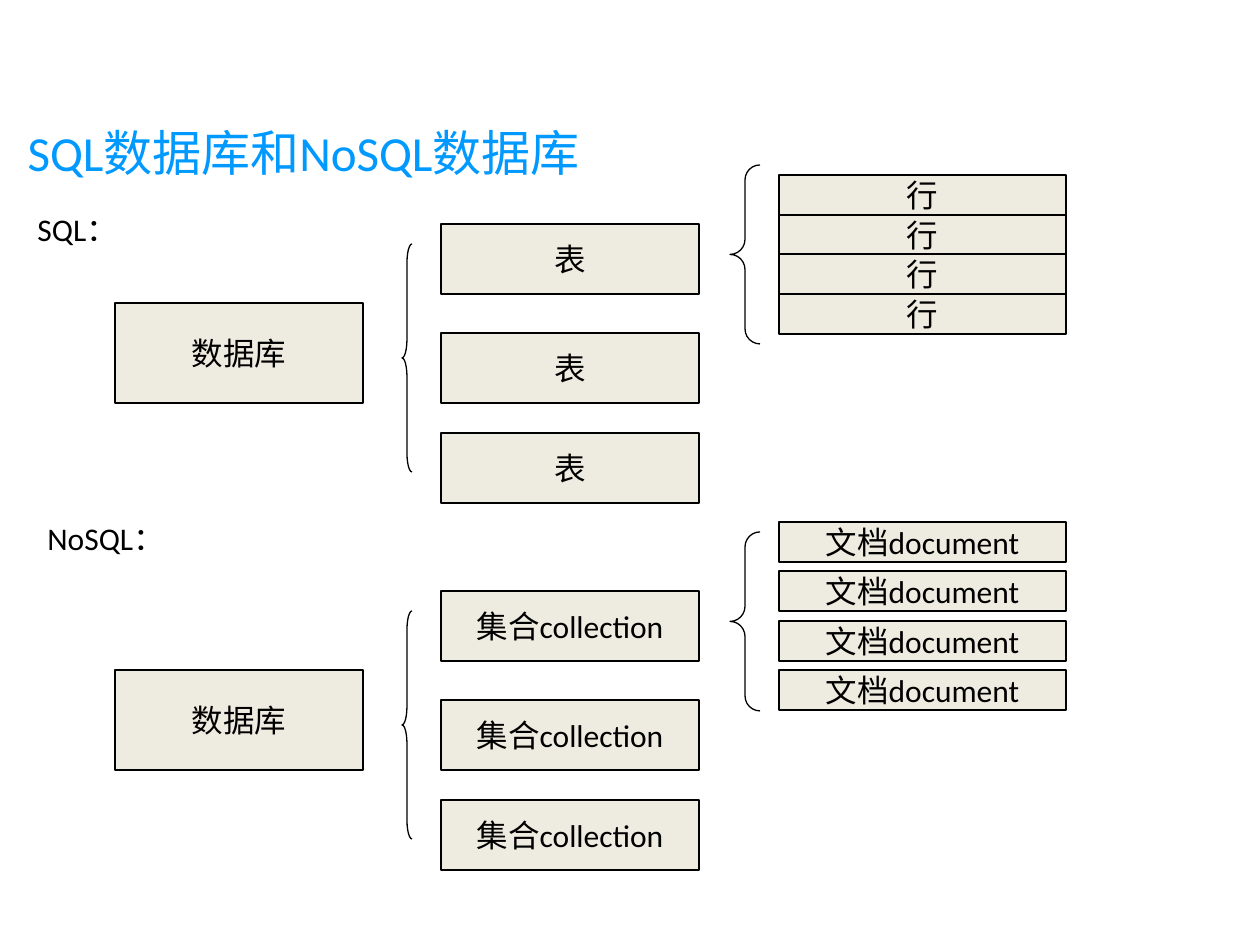
from dataclasses import dataclass

from pptx import Presentation
from pptx.dml.color import RGBColor
from pptx.enum.shapes import MSO_SHAPE
from pptx.enum.text import MSO_ANCHOR, PP_ALIGN
from pptx.util import Emu, Pt


@dataclass(frozen=True)
class Theme:
    font: str = "Calibri"
    title_size: int = 28
    body_size: int = 18
    title_color: RGBColor = RGBColor(0x00, 0x99, 0xFF)
    ink: RGBColor = RGBColor(0x00, 0x00, 0x00)
    box_fill: RGBColor = RGBColor(0xEE, 0xEC, 0xE1)
    line_width: float = 0.75


class SlideBuilder:
    """Draws styled elements on one slide, with lengths in px."""

    EMU_PER_PX = 914400 / 126

    def __init__(self, slide, theme):
        self.slide = slide
        self.theme = theme

    def lengths(self, *pixels):
        return [Emu(round(value * self.EMU_PER_PX)) for value in pixels]

    def set_text(self, shape, text, size, color, align, anchor, wrap):
        frame = shape.text_frame
        frame.text = text
        frame.word_wrap = wrap
        frame.vertical_anchor = anchor
        paragraph = frame.paragraphs[0]
        paragraph.alignment = align
        for run in paragraph.runs:
            run.font.name = self.theme.font
            run.font.size = Pt(size)
            run.font.color.rgb = color

    def title(self, text, *place):
        shape = self.slide.shapes.title
        shape.left, shape.top, shape.width, shape.height = self.lengths(*place)
        self.set_text(shape, text, self.theme.title_size, self.theme.title_color,
                      PP_ALIGN.LEFT, MSO_ANCHOR.TOP, True)

    def label(self, text, *place):
        shape = self.slide.shapes.add_textbox(*self.lengths(*place))
        self.set_text(shape, text, self.theme.body_size, self.theme.ink,
                      PP_ALIGN.LEFT, MSO_ANCHOR.TOP, True)

    def outlined(self, preset, place):
        shape = self.slide.shapes.add_shape(preset, *self.lengths(*place))
        shape.shadow.inherit = False
        shape.line.color.rgb = self.theme.ink
        shape.line.width = Pt(self.theme.line_width)
        return shape

    def box(self, text, *place):
        shape = self.outlined(MSO_SHAPE.RECTANGLE, place)
        shape.fill.solid()
        shape.fill.fore_color.rgb = self.theme.box_fill
        self.set_text(shape, text, self.theme.body_size, self.theme.ink,
                      PP_ALIGN.CENTER, MSO_ANCHOR.MIDDLE, False)

    def brace(self, curve, *place):
        shape = self.outlined(MSO_SHAPE.LEFT_BRACE, place)
        shape.fill.background()
        shape.adjustments[0] = curve
        shape.adjustments[1] = 0.5

    def hierarchy(self, top, group_name, item_name, first_item, last_item):
        self.box("数据库", 115, top + 79, 248, 100)
        self.brace(1.85, 402, top + 20, 10, 228)
        for offset in (0, 109, 209):
            self.box(group_name, 441, top + offset, 258, 70)
        self.brace(0.5, 730, top - 59, 30, 179)
        for index in range(4):
            item_top = first_item + round((last_item - first_item) * index / 3)
            self.box(item_name, 779, item_top, 287, 40)


def main():
    presentation = Presentation()
    presentation.slide_width, presentation.slide_height = Emu(9144000), Emu(6858000)
    slide = presentation.slides.add_slide(presentation.slide_layouts[5])
    builder = SlideBuilder(slide, Theme())
    builder.title("SQL数据库和NoSQL数据库", 15, 116, 1191, 72)
    builder.label("SQL：", 25, 204, 194, 50)
    builder.hierarchy(224, "表", "行", 175, 294)
    builder.label("NoSQL：", 35, 513, 194, 50)
    builder.hierarchy(591, "集合collection", "文档document", 522, 670)
    presentation.save("out.pptx")


if __name__ == "__main__":
    main()
